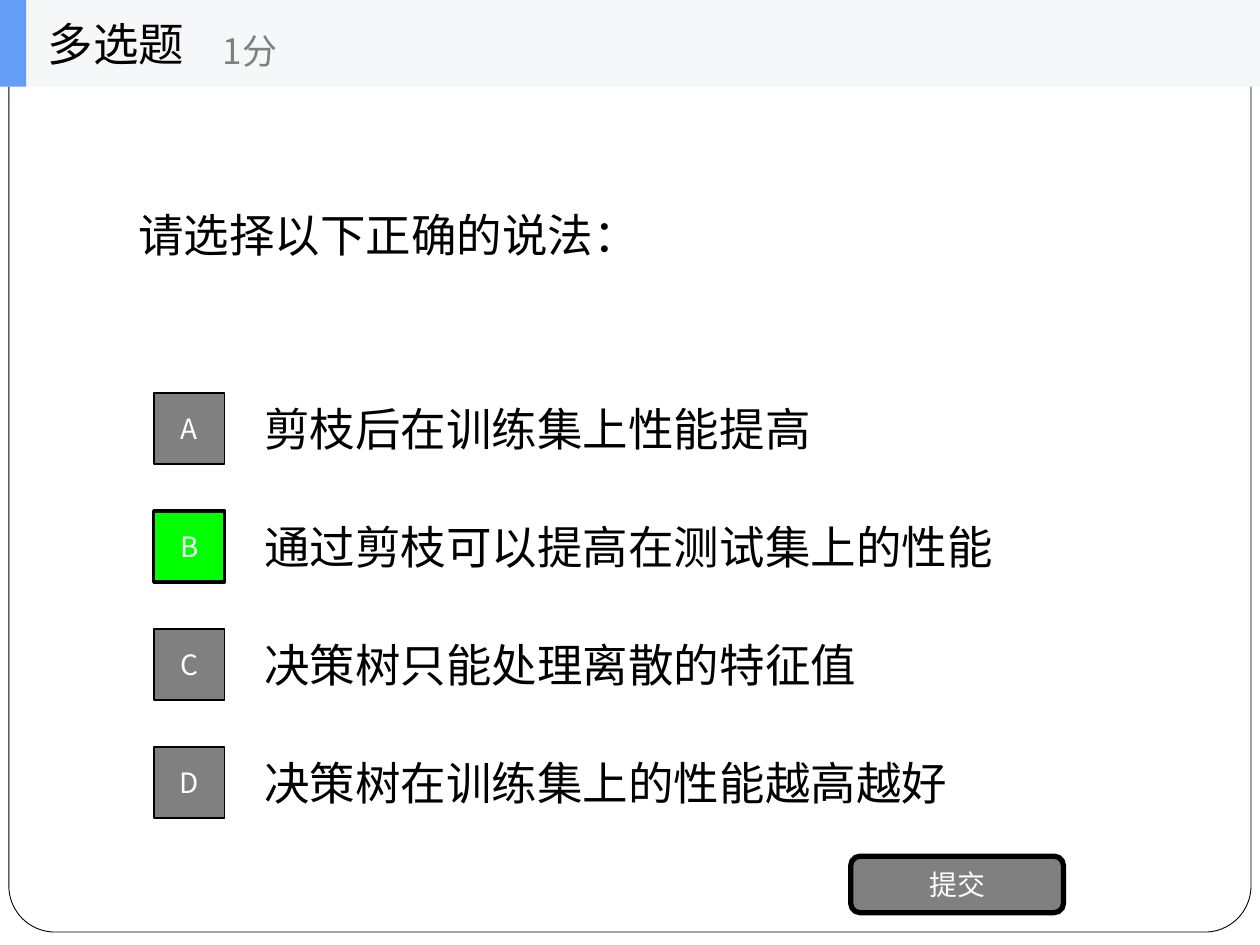
from lxml.etree import SubElement
from pptx import Presentation
from pptx.dml.color import RGBColor
from pptx.enum.shapes import MSO_SHAPE
from pptx.enum.text import MSO_ANCHOR, PP_ALIGN
from pptx.oxml.ns import qn
from pptx.util import Cm, Pt

BLACK = RGBColor(0x00, 0x00, 0x00)
WHITE = RGBColor(0xFF, 0xFF, 0xFF)
GRAY = RGBColor(0x80, 0x80, 0x80)
GREEN = RGBColor(0x00, 0xFF, 0x00)
BLUE = RGBColor(0x63, 0x9E, 0xF4)
PALE = RGBColor(0xF6, 0xF7, 0xF8)

OPTIONS = [
    ("A", "剪枝后在训练集上性能提高"),
    ("B", "通过剪枝可以提高在测试集上的性能"),
    ("C", "决策树只能处理离散的特征值"),
    ("D", "决策树在训练集上的性能越高越好"),
]
CORRECT = {"B"}
ROW_PITCH = 2.38


class QuizSlide:
    font_name = "Noto Sans CJK SC"

    def __init__(self, deck):
        self.slide = deck.slides.add_slide(deck.slide_layouts[6])

    def set_text(self, shape, text, size, color, align):
        frame = shape.text_frame
        for name, value in {"word_wrap": True, "vertical_anchor": MSO_ANCHOR.MIDDLE}.items():
            setattr(frame, name, value)
        para = frame.paragraphs[0]
        para.alignment = align
        span = para.add_run()
        span.text = text
        for name, value in {"name": self.font_name, "size": Pt(size)}.items():
            setattr(span.font, name, value)
        span.font.color.rgb = color
        # Chinese characters take the East Asian typeface
        SubElement(span.font._element, qn("a:ea"), typeface=self.font_name)

    def text(self, area, text, size=26, color=BLACK):
        box = self.slide.shapes.add_textbox(*map(Cm, area))
        self.set_text(box, text, size, color, PP_ALIGN.LEFT)

    def block(self, area, fill, line=None, kind=MSO_SHAPE.RECTANGLE, corner=None, label=None):
        shape = self.slide.shapes.add_shape(kind, *map(Cm, area))
        shape.shadow.inherit = False
        shape.fill.solid()
        shape.fill.fore_color.rgb = fill
        if line is None:
            shape.line.fill.background()
        else:
            shape.line.color.rgb = BLACK
            shape.line.width = Pt(line)
        if corner is not None:
            shape.adjustments[0] = corner
        if label:
            self.set_text(shape, label, 16, WHITE, PP_ALIGN.CENTER)


def main():
    deck = Presentation()
    deck.slide_width, deck.slide_height = Cm(25.4), Cm(19.05)
    page = QuizSlide(deck)

    # Card and question
    page.block((0.18, 0.2, 25.04, 18.59), WHITE, 0.5, MSO_SHAPE.ROUNDED_RECTANGLE, 0.05)
    page.text((2.54, 1.75, 20.32, 5.95), "请选择以下正确的说法：")

    # Answer options
    for row, (letter, answer) in enumerate(OPTIONS):
        offset = row * ROW_PITCH
        correct = letter in CORRECT
        page.text((5.08, 7.74 + offset, 17.78, 1.79), answer)
        page.block((3.1, 7.92 + offset, 1.43, 1.43), GREEN if correct else GRAY,
                   2 if correct else 1, label=letter)

    # Submit button
    page.block((17.15, 17.26, 4.29, 1.14), GRAY, 3, MSO_SHAPE.ROUNDED_RECTANGLE, label="提交")

    # Header bar
    page.block((0, 0, 25.4, 1.75), PALE)
    page.block((0, 0, 0.53, 1.75), BLUE)
    page.text((0.71, 0, 5.28, 1.75), "多选题")
    page.text((4.24, 0.3, 6.35, 1.42), "1分", 20, GRAY)

    deck.save("out.pptx")


if __name__ == "__main__":
    main()
